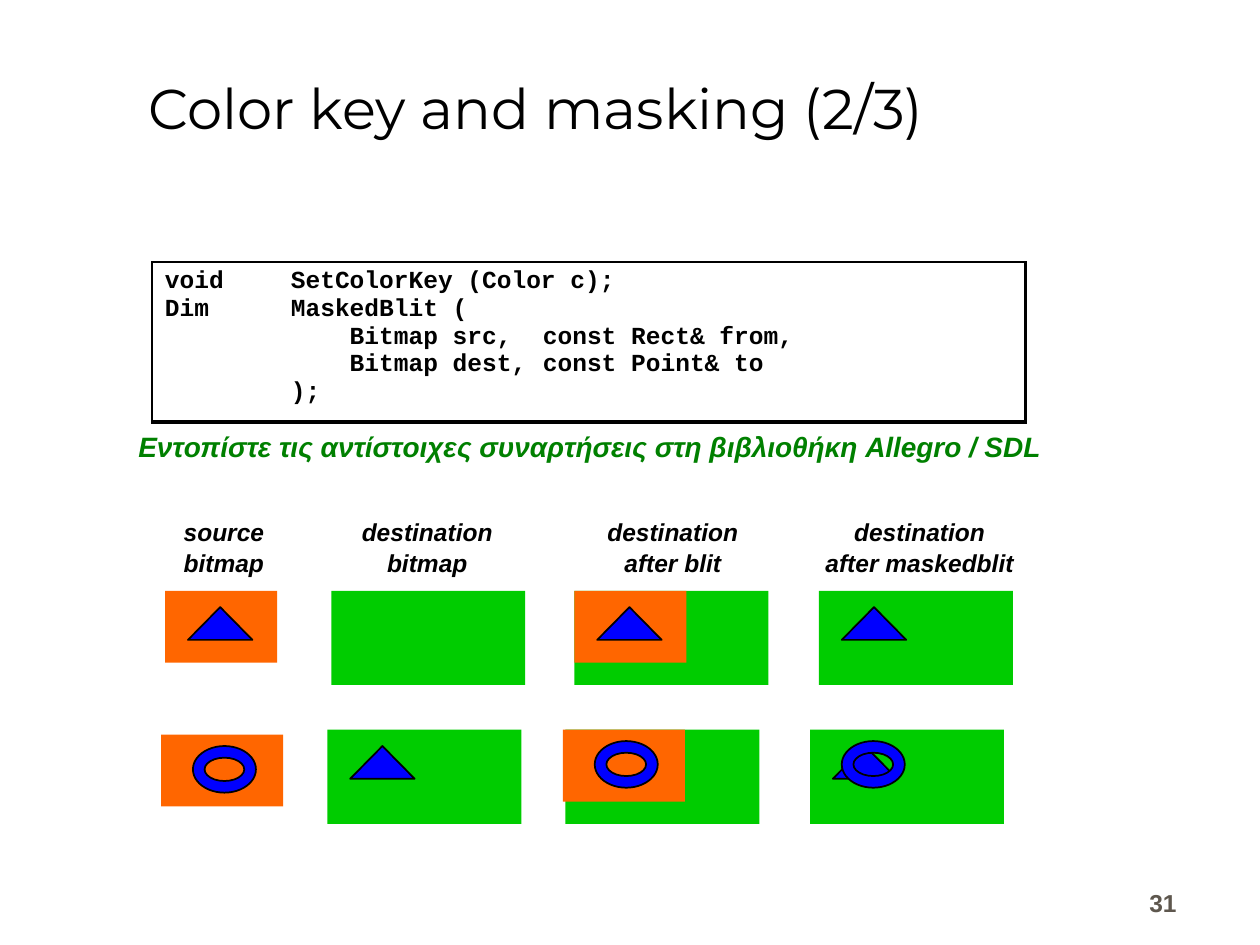
from lxml import etree
from pptx import Presentation
from pptx.dml.color import RGBColor
from pptx.enum.shapes import MSO_SHAPE
from pptx.enum.text import MSO_ANCHOR, PP_ALIGN
from pptx.oxml.ns import qn
from pptx.util import Cm, Pt

RECT = MSO_SHAPE.RECTANGLE
TRI = MSO_SHAPE.ISOSCELES_TRIANGLE
RING = MSO_SHAPE.DONUT
TOP, BOTTOM = MSO_ANCHOR.TOP, MSO_ANCHOR.BOTTOM
LEFT, CENTER, RIGHT = PP_ALIGN.LEFT, PP_ALIGN.CENTER, PP_ALIGN.RIGHT

COLORS = {
    "black": "000000", "white": "FFFFFF", "green": "00CC00", "key": "FF6600",
    "blue": "0000FF", "note": "008000", "page": "5E574E",
}

CODE = [
    "void\tSetColorKey (Color c);",
    "Dim\tMaskedBlit (",
    "\t    Bitmap src,\tconst Rect& from,",
    "\t    Bitmap dest,\tconst Point& to",
    "\t);",
]
# left, width, lines
LABELS = [
    (3.45, 2.13, ["source", "bitmap"]),
    (7.04, 3.15, ["destination", "bitmap"]),
    (11.99, 3.15, ["destination", "after blit"]),
    (16.38, 4.32, ["destination", "after maskedblit"]),
]


def rgb(name):
    return RGBColor.from_string(COLORS[name])


class Painter:
    def __init__(self, slide):
        self.slide = slide

    def run(self, para, text, size, font="Arial", color="black", bold=True, italic=False):
        run = para.add_run()
        run.text = text
        face = run.font
        face.name, face.size = font, Pt(size)
        face.bold, face.italic = bold, italic
        face.color.rgb = rgb(color)

    def text(self, box, lines, size, align=LEFT, anchor=TOP, wrap=True, gap=0, **style):
        frame = self.slide.shapes.add_textbox(*map(Cm, box)).text_frame
        frame.word_wrap = wrap
        frame.vertical_anchor = anchor
        for i, line in enumerate(lines):
            para = frame.add_paragraph() if i else frame.paragraphs[0]
            para.alignment = align
            if i and gap:
                para.space_before = Pt(gap)
            self.run(para, line, size, **style)

    def shape(self, kind, x, y, w, h, fill, line=None):
        shape = self.slide.shapes.add_shape(kind, Cm(x), Cm(y), Cm(w), Cm(h))
        shape.shadow.inherit = False
        shape.fill.solid()
        shape.fill.fore_color.rgb = rgb(fill)
        if line:
            shape.line.color.rgb = rgb(line)
            shape.line.width = Pt(1)
        else:
            shape.line.fill.background()

    def field(self, x, y):
        self.shape(RECT, x, y, 3.91, 1.9, "green")

    def key(self, x, y, w=2.26):
        self.shape(RECT, x, y, w, 1.45, "key")

    def tri(self, x, y):
        """Triangle inside the bitmap whose corner is at x, y."""
        self.shape(TRI, x + 0.46, y + 0.33, 1.3, 0.66, "blue", "black")

    def ring(self, x, y):
        """Ring inside the bitmap whose corner is at x, y."""
        self.shape(RING, x + 0.64, y + 0.23, 1.27, 0.94, "blue", "black")

    def code(self, x, y, w, h, lines):
        """One-cell table with tab stops at every inch."""
        table = self.slide.shapes.add_table(1, 1, Cm(x), Cm(y), Cm(w), Cm(h)).table
        cell = table.cell(0, 0)
        props = cell._tc.get_or_add_tcPr()
        for side, width in (("L", 1.08), ("R", 2.21), ("T", 1.08), ("B", 2.21)):
            edge = etree.SubElement(props, qn("a:ln" + side), w=str(Pt(width)))
            fill = etree.SubElement(edge, qn("a:solidFill"))
            etree.SubElement(fill, qn("a:srgbClr"), val=COLORS["black"])
        cell.fill.solid()
        cell.fill.fore_color.rgb = rgb("white")
        frame = cell.text_frame
        for i, line in enumerate(lines):
            para = frame.add_paragraph() if i else frame.paragraphs[0]
            tabs = etree.SubElement(para._p.get_or_add_pPr(), qn("a:tabLst"))
            for stop in range(1, 8):
                etree.SubElement(tabs, qn("a:tab"), pos=str(Cm(2.54 * stop)), algn="l")
            self.run(para, line, 14, font="Courier New")


def main():
    deck = Presentation()
    deck.slide_width, deck.slide_height = Cm(25.4), Cm(19.05)
    pen = Painter(deck.slides.add_slide(deck.slide_layouts[6]))

    pen.text((2.74, 0.43, 22.66, 2.54), ["Color key and masking (2/3)"], 32,
             anchor=BOTTOM, font="Montserrat", bold=False)
    pen.code(3.07, 5.28, 17.6, 3.23, CODE)
    pen.text((2.18, 8.53, 19.43, 0.94),
             ["Εντοπίστε τις αντίστοιχες συναρτήσεις στη βιβλιοθήκη Allegro / SDL"],
             16, align=CENTER, color="note", italic=True)
    for left, width, lines in LABELS:
        pen.text((left, 10.29, width, 1.45), lines, 14, align=CENTER,
                 wrap=False, gap=1, italic=True)

    # Triangle onto an empty field
    y = 11.91
    for x in (6.68, 11.58, 16.51):
        pen.field(x, y)
    for x in (3.33, 11.58):
        pen.key(x, y)
    for x in (3.33, 11.58, 16.51):
        pen.tri(x, y)

    # Ring onto the field that holds the triangle
    y = 14.71
    for x in (6.6, 11.4, 16.33):
        pen.field(x, y)
    for x in (6.6, 16.33):
        pen.tri(x, y)
    for x, top in ((3.25, 14.81), (11.35, y)):
        pen.key(x, top, 2.46)
        pen.ring(x, top)
    pen.ring(16.33, y)

    pen.text((18.69, 17.35, 5.28, 1.27), ["31"], 14, align=RIGHT,
             anchor=BOTTOM, color="page")
    deck.save("out.pptx")


if __name__ == "__main__":
    main()
